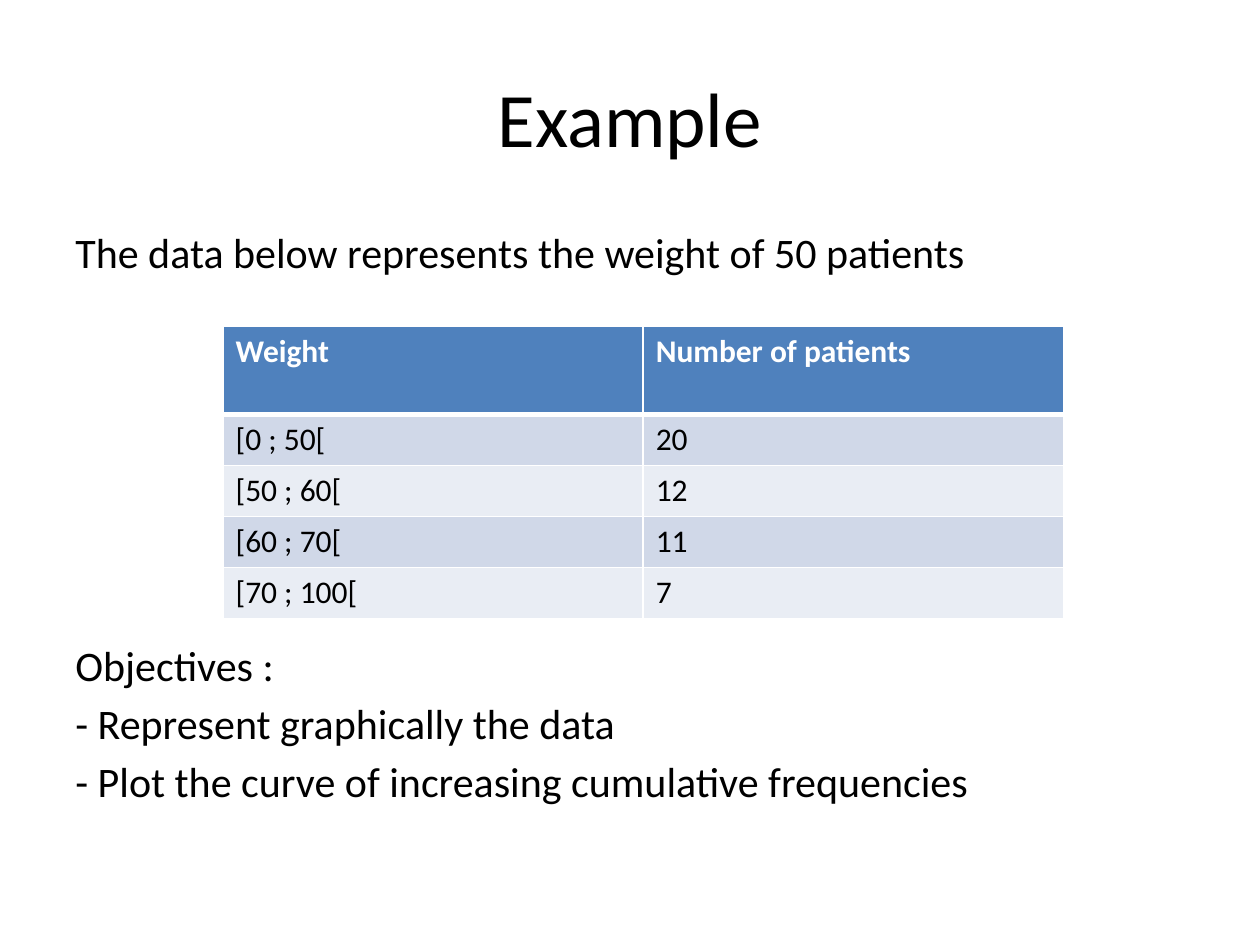
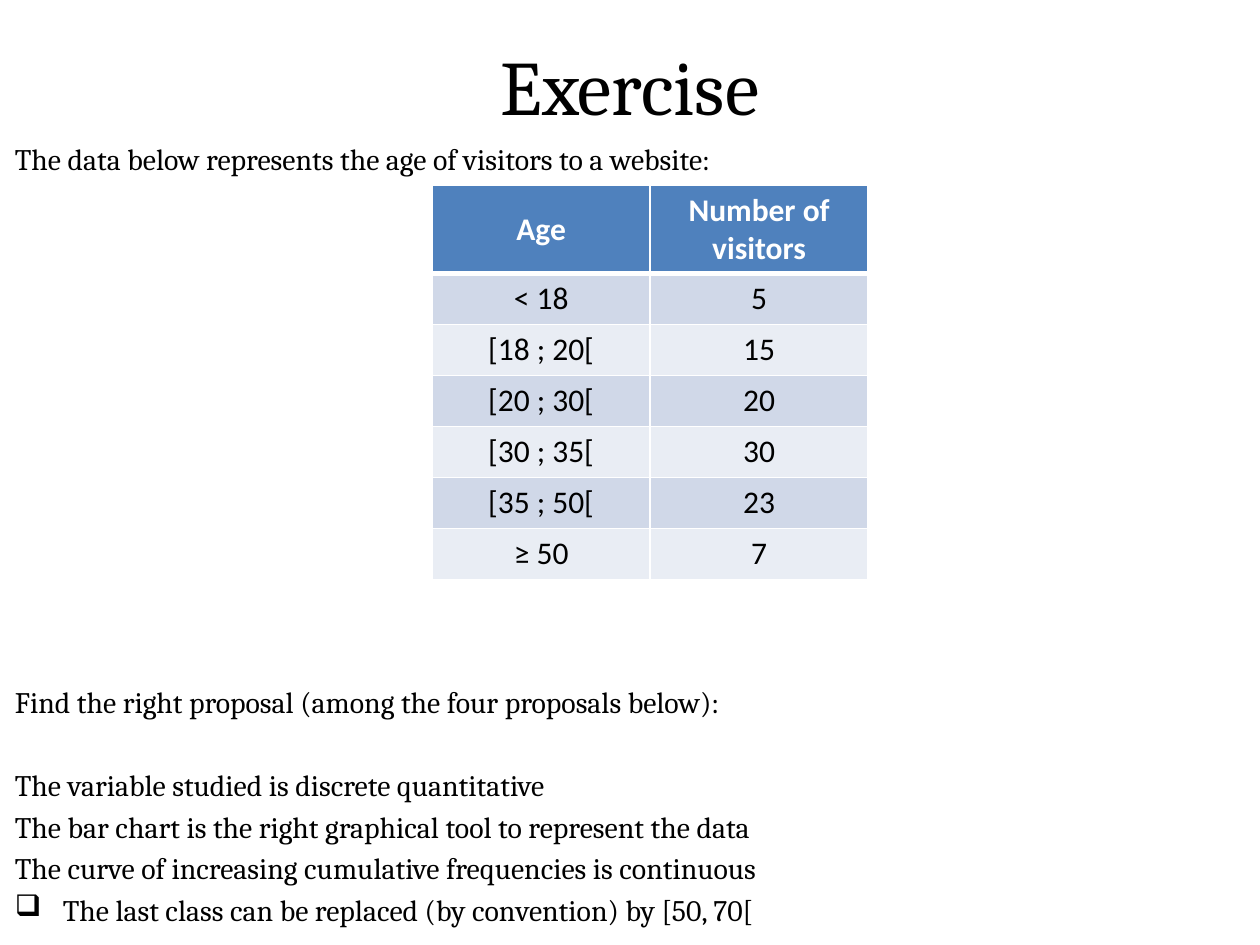
from lxml import etree
from pptx import Presentation
from pptx import util as u
from pptx.dml.color import RGBColor
from pptx.enum import text as t
from pptx.oxml import ns

INK, WHITE, BLUE = "000000", "FFFFFF", "4F81BD"
BANDS = ("D0D8E8", "E9EDF4")
HEAD, ROW = 0.7, 0.405
MID, LEFT = t.PP_ALIGN.CENTER, t.PP_ALIGN.LEFT


def color(code):
    return RGBColor.from_string(code)


class Deck:
    def __init__(self):
        self.prs = Presentation()
        self.prs.slide_width = u.Inches(10)
        self.prs.slide_height = u.Inches(7.5)
        self.face = "Calibri"

    def page(self, face):
        self.face = face
        self.slide = self.prs.slides.add_slide(self.prs.slide_layouts[6])

    def style(self, para, size, ink=INK, bold=False, face=None):
        para.font.color.rgb = color(ink)
        form = {"name": face or self.face, "size": u.Pt(size), "bold": bold}
        for key, val in form.items():
            setattr(para.font, key, val)

    def bullet(self, para, sign, hang):
        props = para._p.get_or_add_pPr()
        props.set("marL", str(u.Inches(hang)))
        props.set("indent", str(-u.Inches(hang)))
        etree.SubElement(props, ns.qn("a:buChar")).set("char", sign)

    def text(self, lines, at, size, align=LEFT, anchor=t.MSO_ANCHOR.TOP,
             gap=0, pitch=None):
        """Write one paragraph a line and return the paragraphs."""
        frame = self.slide.shapes.add_textbox(*map(u.Inches, at)).text_frame
        frame.word_wrap = True
        frame.vertical_anchor = anchor
        frame.text = "\n".join(lines)
        for num, para in enumerate(frame.paragraphs):
            para.alignment = align
            if num and gap:
                para.space_before = u.Pt(gap)
            if pitch:
                para.line_spacing = u.Pt(pitch)
            self.style(para, size)
        return frame.paragraphs

    def title(self, words, top):
        self.text([words], (0.5, top, 9, 1.25), 44, MID, t.MSO_ANCHOR.MIDDLE)

    def border(self, cell, row):
        props = cell._tc.get_or_add_tcPr()
        wide = {"L": 1, "R": 1, "T": 3 if row == 1 else 1,
                "B": 3 if row == 0 else 1}
        for num, (side, width) in enumerate(wide.items()):
            line = etree.Element(ns.qn("a:ln" + side), w=str(u.Pt(width)))
            fill = etree.SubElement(line, ns.qn("a:solidFill"))
            etree.SubElement(fill, ns.qn("a:srgbClr"), val=WHITE)
            props.insert(num, line)

    def table(self, rows, left, top, width, align, anchor):
        high = HEAD + ROW * (len(rows) - 1)
        grid = self.slide.shapes.add_table(
            len(rows), 2, *map(u.Inches, (left, top, width, high))).table
        for r, row in enumerate(rows):
            grid.rows[r].height = u.Inches(ROW if r else HEAD)
            for c, words in enumerate(row):
                cell = grid.cell(r, c)
                cell.text = words
                cell.fill.solid()
                cell.fill.fore_color.rgb = color(
                    BANDS[(r - 1) % 2] if r else BLUE)
                if r == 0:
                    cell.vertical_anchor = anchor
                para = cell.text_frame.paragraphs[0]
                para.alignment = align
                self.style(para, 18, INK if r else WHITE, r == 0, "Calibri")
                self.border(cell, r)


def example(deck):
    deck.page("Calibri")
    deck.title("Example", 0.3)
    deck.text(["The data below represents the weight of 50 patients"],
              (0.5, 1.75, 9, 0.6), 24)

    # Weight classes
    rows = [("Weight", "Number of patients"), ("[0 ; 50[", "20"),
            ("[50 ; 60[", "12"), ("[60 ; 70[", "11"), ("[70 ; 100[", "7")]
    deck.table(rows, 1.77, 2.59, 6.67, LEFT, t.MSO_ANCHOR.TOP)

    # Objectives
    deck.text(["Objectives :", "- Represent graphically the data",
               "- Plot the curve of increasing cumulative frequencies"],
              (0.5, 5.03, 9, 1.5), 24, gap=4.1)


def exercise(deck):
    deck.page("Cambria")
    deck.title("Exercise", 0.05)
    pitch = 23.75
    deck.text(["The data below represents the age of visitors to a website:"],
              (0.02, 1.02, 9.97, 0.43), 17, pitch=pitch)

    # Age classes
    rows = [("Age", "Number of visitors"), ("< 18", "5"), ("[18 ; 20[", "15"),
            ("[20 ; 30[", "20"), ("[30 ; 35[", "30"), ("[35 ; 50[", "23"),
            ("≥ 50", "7")]
    deck.table(rows, 3.43, 1.47, 3.46, MID, t.MSO_ANCHOR.MIDDLE)

    # Proposals, one blank line below the question
    paras = deck.text(
        ["Find the right proposal (among the four proposals below):",
         "The variable studied is discrete quantitative",
         "The bar chart is the right graphical tool to represent the data",
         "The curve of increasing cumulative frequencies is continuous",
         "The last class can be replaced (by convention) by [50, 70["],
        (0.02, 5.33, 9.97, 2.1), 17, pitch=pitch)
    paras[1].space_before = u.Pt(pitch)
    deck.bullet(paras[-1], "❑", 0.38)


def main():
    deck = Deck()
    example(deck)
    exercise(deck)
    deck.prs.save("out.pptx")


if __name__ == "__main__":
    main()
